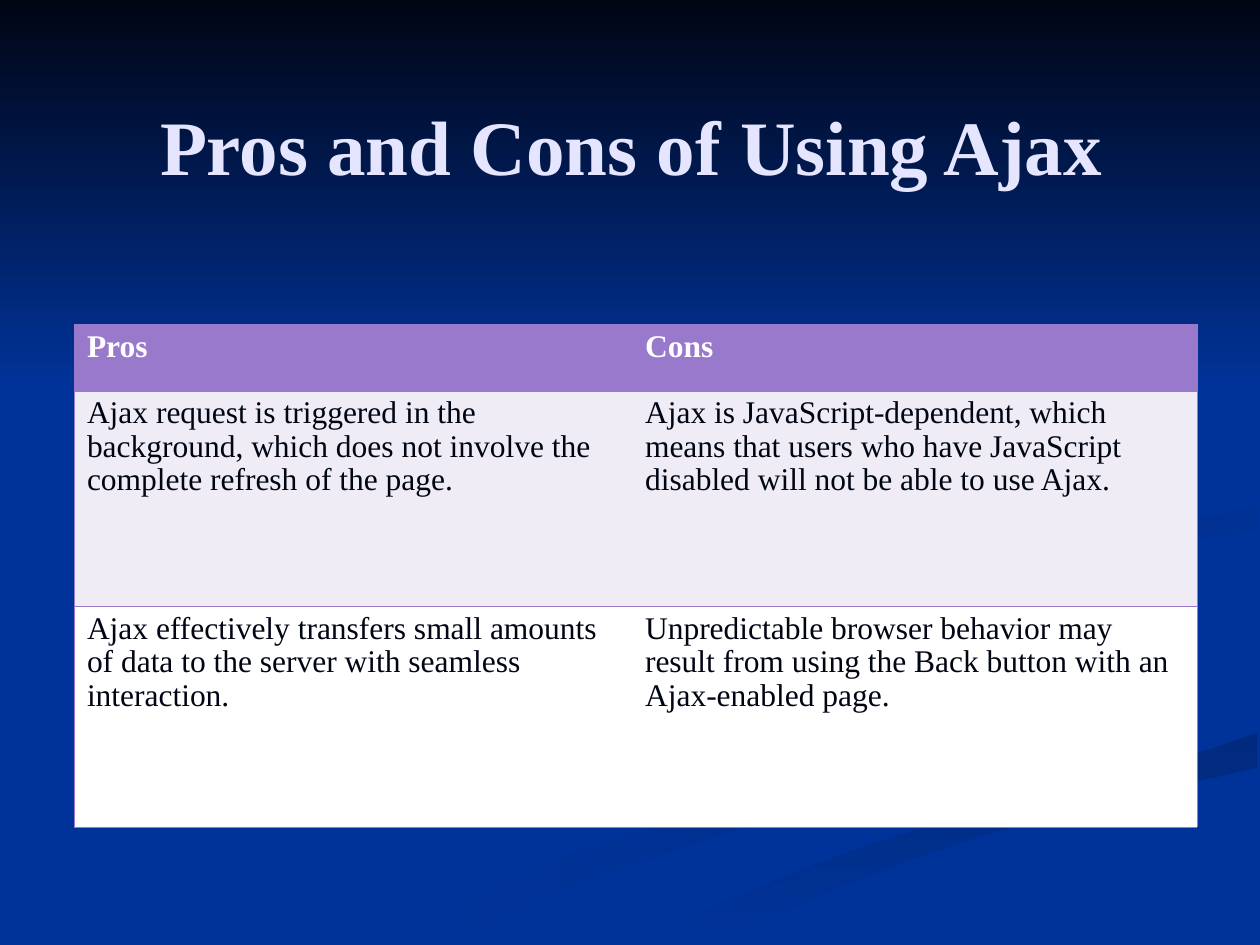
import pptx
import pptx.dml.color
import pptx.enum.text
import pptx.oxml
import pptx.oxml.ns
import pptx.util

Cm = pptx.util.Cm
FONT = "Times New Roman"
BLUE, NAVY, PURPLE = "003399", "000514", "9879CB"


def color(hex_string):
    return pptx.dml.color.RGBColor.from_string(hex_string)


def set_border(cell, side, visible):
    """Add one cell border; side is L, R, T or B."""
    paint = (f'<a:solidFill><a:srgbClr val="{PURPLE}"/></a:solidFill>'
             if visible else "<a:noFill/>")
    cell._tc.get_or_add_tcPr().append(pptx.oxml.parse_xml(
        f'<a:ln{side} {pptx.oxml.ns.nsdecls("a")} w="5715">{paint}</a:ln{side}>'))


presentation = pptx.Presentation()
presentation.slide_width = Cm(25.4)
presentation.slide_height = Cm(19.05)
slide = presentation.slides.add_slide(presentation.slide_layouts[5])
slide.background.fill.solid()
slide.background.fill.fore_color.rgb = color(BLUE)

# Background ribbons and top shade: outline in 0.01 cm, gradient colours, clockwise angle
lower_left_ribbon = [
    (1984, 1405), (1892, 1367), (1732, 1318), (1590, 1275), (1509, 1232),
    (1463, 1191), (1461, 1166), (1448, 1199), (1488, 1237), (1603, 1283),
    (1770, 1334), (1910, 1379), (1984, 1412), (1996, 1438), (1966, 1481),
    (1877, 1519), (1737, 1557), (1471, 1623), (1267, 1679), (1059, 1753),
    (859, 1847), (762, 1902), (917, 1902), (1095, 1814), (1267, 1745),
    (1433, 1689), (1654, 1626), (1880, 1570), (1981, 1537), (2019, 1504),
    (2032, 1476), (2012, 1425)]
lower_right_ribbon = [
    (1318, 1897), (1278, 1902), (1450, 1902), (1560, 1844), (1702, 1783),
    (1834, 1732), (1994, 1679), (2187, 1626), (2535, 1547), (2535, 1476),
    (2446, 1509), (2294, 1549), (2024, 1621), (1768, 1699), (1600, 1760),
    (1445, 1826)]
right_ribbon = [
    (1984, 1168), (1996, 1204), (2047, 1237), (2098, 1260), (2055, 1227),
    (2045, 1199), (2073, 1166), (2141, 1138), (2276, 1105), (2423, 1082),
    (2535, 1067), (2535, 1021), (2456, 1039), (2281, 1062), (2121, 1092),
    (2029, 1123), (1994, 1151)]
top_shade = [(0, 0), (0, 782), (2540, 782), (2540, 0)]

for outline, start_color, end_color, angle in [
    (lower_left_ribbon, BLUE, "002E8B", 0),
    (lower_right_ribbon, "002A7D", BLUE, 90),
    (right_ribbon, "002D86", BLUE, 45),
    (top_shade, NAVY, BLUE, 90),
]:
    builder = slide.shapes.build_freeform(*outline[0], scale=Cm(0.01))
    builder.add_line_segments(outline[1:], close=True)
    shape = builder.convert_to_shape()
    shape.shadow.inherit = False
    shape.line.fill.background()
    shape.fill.gradient()
    shape.fill.gradient_angle = (360 - angle) % 360
    for stop, stop_color in zip(shape.fill.gradient_stops, (start_color, end_color)):
        stop.color.rgb = color(stop_color)

# Title, brought in front of the background
title = slide.shapes.title
slide.shapes._spTree.append(title._element)
title.left, title.top, title.width, title.height = Cm(1.3), Cm(1.32), Cm(22.86), Cm(3.2)
title.text_frame.text = "Pros and Cons of Using Ajax"
title.text_frame.vertical_anchor = pptx.enum.text.MSO_ANCHOR.MIDDLE
paragraph = title.text_frame.paragraphs[0]
paragraph.alignment = pptx.enum.text.PP_ALIGN.CENTER
paragraph.font.name = FONT
paragraph.font.size = pptx.util.Pt(44)
paragraph.font.bold = True
paragraph.font.color.rgb = color("E5E5FF")

# Table of pros and cons: height, fill, text colour and texts of each row
rows = [
    (1.35, PURPLE, "FFFFFF", ["Pros", "Cons"]),
    (4.34, "EFECF6", NAVY, [
        "Ajax request is triggered in the background, which does not involve "
        "the complete refresh of the page.",
        "Ajax is JavaScript-dependent, which means that users who have "
        "JavaScript disabled will not be able to use Ajax."]),
    (4.45, "FFFFFF", NAVY, [
        "Ajax effectively transfers small amounts of data to the server with "
        "seamless interaction.",
        "Unpredictable browser behavior may result from using the Back button "
        "with an Ajax-enabled page."]),
]
table = slide.shapes.add_table(
    len(rows), 2, Cm(1.5), Cm(6.53), Cm(22.63), Cm(10.14)).table
table.horz_banding = False
table.columns[0].width = Cm(11.25)
table.columns[1].width = Cm(11.38)

for row_index, (height, fill_color, text_color, texts) in enumerate(rows):
    table.rows[row_index].height = Cm(height)
    for column_index, text in enumerate(texts):
        cell = table.cell(row_index, column_index)
        for side, visible in [("L", column_index == 0), ("R", column_index == 1),
                              ("T", True), ("B", True)]:
            set_border(cell, side, visible)
        cell.fill.solid()
        cell.fill.fore_color.rgb = color(fill_color)
        cell.text = text
        paragraph = cell.text_frame.paragraphs[0]
        paragraph.line_spacing = 0.96
        paragraph.font.name = FONT
        paragraph.font.size = pptx.util.Pt(18)
        paragraph.font.bold = row_index == 0
        paragraph.font.color.rgb = color(text_color)

presentation.save("out.pptx")
